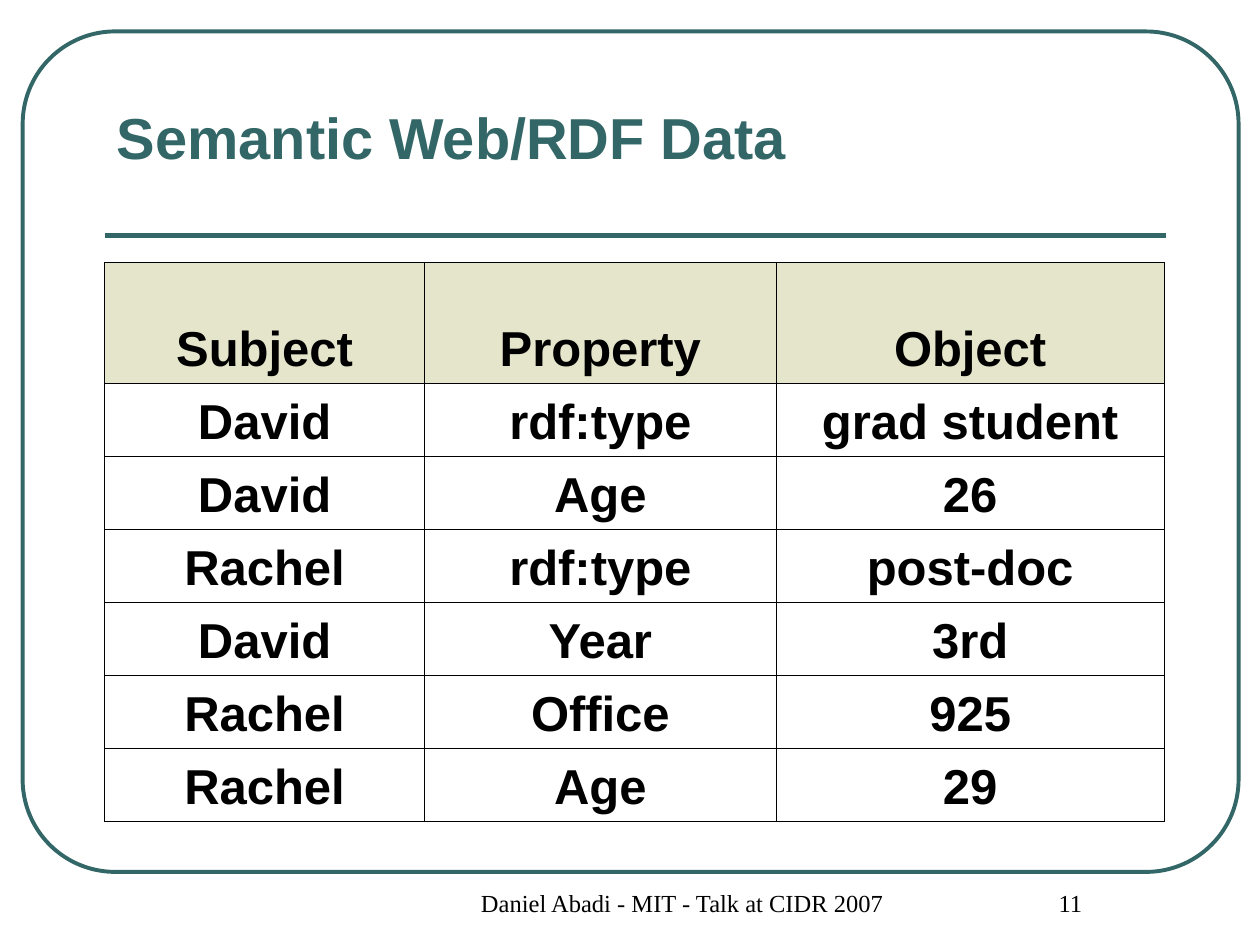
from lxml.etree import SubElement
from pptx import Presentation
from pptx.dml.color import RGBColor
from pptx.enum.shapes import MSO_CONNECTOR as LINK, MSO_SHAPE as SHAPE
from pptx.enum.text import MSO_ANCHOR as ANCHOR, PP_ALIGN as ALIGN
from pptx.oxml.ns import qn
from pptx.util import Inches, Pt

TEAL = RGBColor(0x33, 0x66, 0x66)
SAND = RGBColor(0xCC, 0xCC, 0x99)
BLACK = RGBColor(0, 0, 0)

TITLE = "Semantic Web/RDF Data"
TRIPLES = [
    ("Subject", "Property", "Object"),
    ("David", "rdf:type", "grad student"),
    ("David", "Age", "26"),
    ("Rachel", "rdf:type", "post-doc"),
    ("David", "Year", "3rd"),
    ("Rachel", "Office", "925"),
    ("Rachel", "Age", "29"),
]
FOOTER = [  # text, left, width
    ("Daniel Abadi - MIT - Talk at CIDR 2007", 3.17, 4.25),
    ("11", 7.5, 1.75),
]
LEFT, RIGHT = 0.83, 9.25
COLS = [2.54, 2.79, 3.08]
HEAD_H, ROW_H = 0.96, 0.58


def write(frame, text, size, font="Arial", color=BLACK, bold=False,
          align=ALIGN.CENTER, indent=0):
    frame.word_wrap = True
    para = frame.paragraphs[0]
    para.alignment = align
    if indent:
        para._p.get_or_add_pPr().set("marL", str(Inches(indent)))
    run = para.add_run()
    run.text = text
    run.font.size, run.font.name = Pt(size), font
    run.font.bold, run.font.color.rgb = bold, color


def add_text(slide, box, text, size, anchor=ANCHOR.TOP, **style):
    frame = slide.shapes.add_textbox(*map(Inches, box)).text_frame
    frame.vertical_anchor = anchor
    write(frame, text, size, **style)


def set_edges(cell, width=0.45):
    """Draw a thin black border on all four sides of a cell."""
    props = cell._tc.get_or_add_tcPr()
    for side in ("lnL", "lnR", "lnT", "lnB"):
        edge = SubElement(props, qn(f"a:{side}"), w=str(Pt(width)))
        fill = SubElement(edge, qn("a:solidFill"))
        SubElement(fill, qn("a:srgbClr"), val=str(BLACK))


def shade(cell, color, alpha):
    cell.fill.solid()
    cell.fill.fore_color.rgb = color
    tint = cell._tc.tcPr.find(qn("a:solidFill")).find(qn("a:srgbClr"))
    SubElement(tint, qn("a:alpha"), val=str(alpha * 1000))


def add_frame(slide):
    """Draw the rounded page border and the rule under the title."""
    frame = slide.shapes.add_shape(
        SHAPE.ROUNDED_RECTANGLE, *map(Inches, (0.18, 0.25, 9.65, 6.67)))
    frame.adjustments[0] = 0.11
    frame.shadow.inherit = False
    frame.fill.background()
    rule = slide.shapes.add_connector(
        LINK.STRAIGHT, *map(Inches, (LEFT, 1.87, RIGHT, 1.87)))
    SubElement(rule._element.spPr, qn("a:effectLst"))
    for shape, width in ((frame, 2.25), (rule, 3)):
        shape.line.color.rgb = TEAL
        shape.line.width = Pt(width)


def add_triples(slide):
    heights = [HEAD_H] + [ROW_H] * (len(TRIPLES) - 1)
    box = (LEFT, 2.08, sum(COLS), sum(heights))
    table = slide.shapes.add_table(
        len(TRIPLES), len(COLS), *map(Inches, box)).table
    table.horz_banding = False
    for col, width in zip(table.columns, COLS):
        col.width = Inches(width)
    for r, (row, height) in enumerate(zip(TRIPLES, heights)):
        table.rows[r].height = Inches(height)
        for c, text in enumerate(row):
            cell = table.cell(r, c)
            cell.vertical_anchor = ANCHOR.BOTTOM
            set_edges(cell)
            if r == 0:
                shade(cell, SAND, 50)
            else:
                cell.fill.background()
            write(cell.text_frame, text, 28, bold=True)


def main():
    deck = Presentation()
    deck.slide_width, deck.slide_height = Inches(10), Inches(7.5)
    slide = deck.slides.add_slide(deck.slide_layouts[6])
    add_frame(slide)
    add_text(slide, (LEFT, 0.33, 7.33, 1.08), TITLE, 33, anchor=ANCHOR.BOTTOM,
             color=TEAL, bold=True, align=ALIGN.LEFT)
    add_triples(slide)
    for text, left, width in FOOTER:
        add_text(slide, (left, 7, width, 0.5), text, 14,
                 font="Times New Roman", indent=0.24)
    deck.save("out.pptx")


if __name__ == "__main__":
    main()
